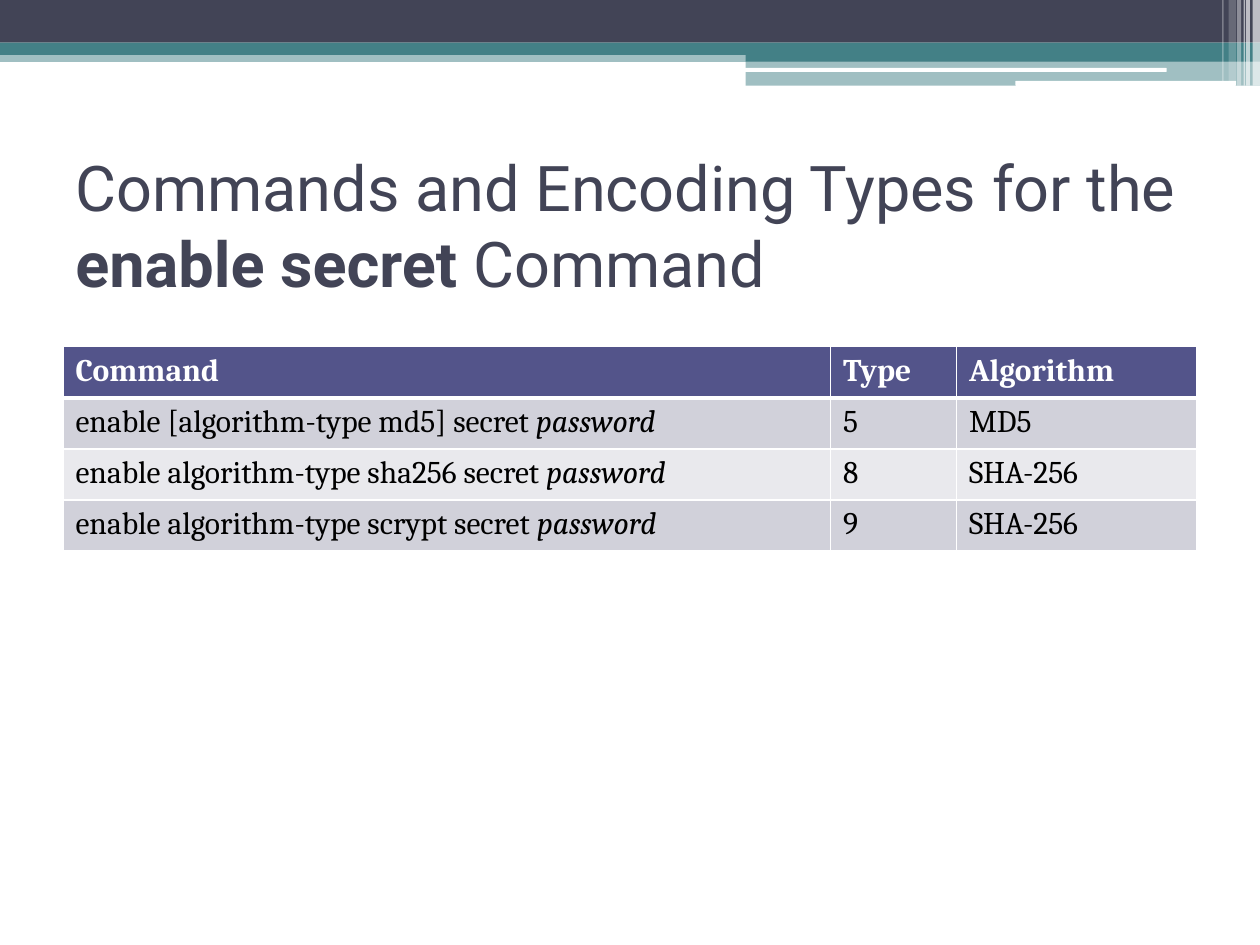
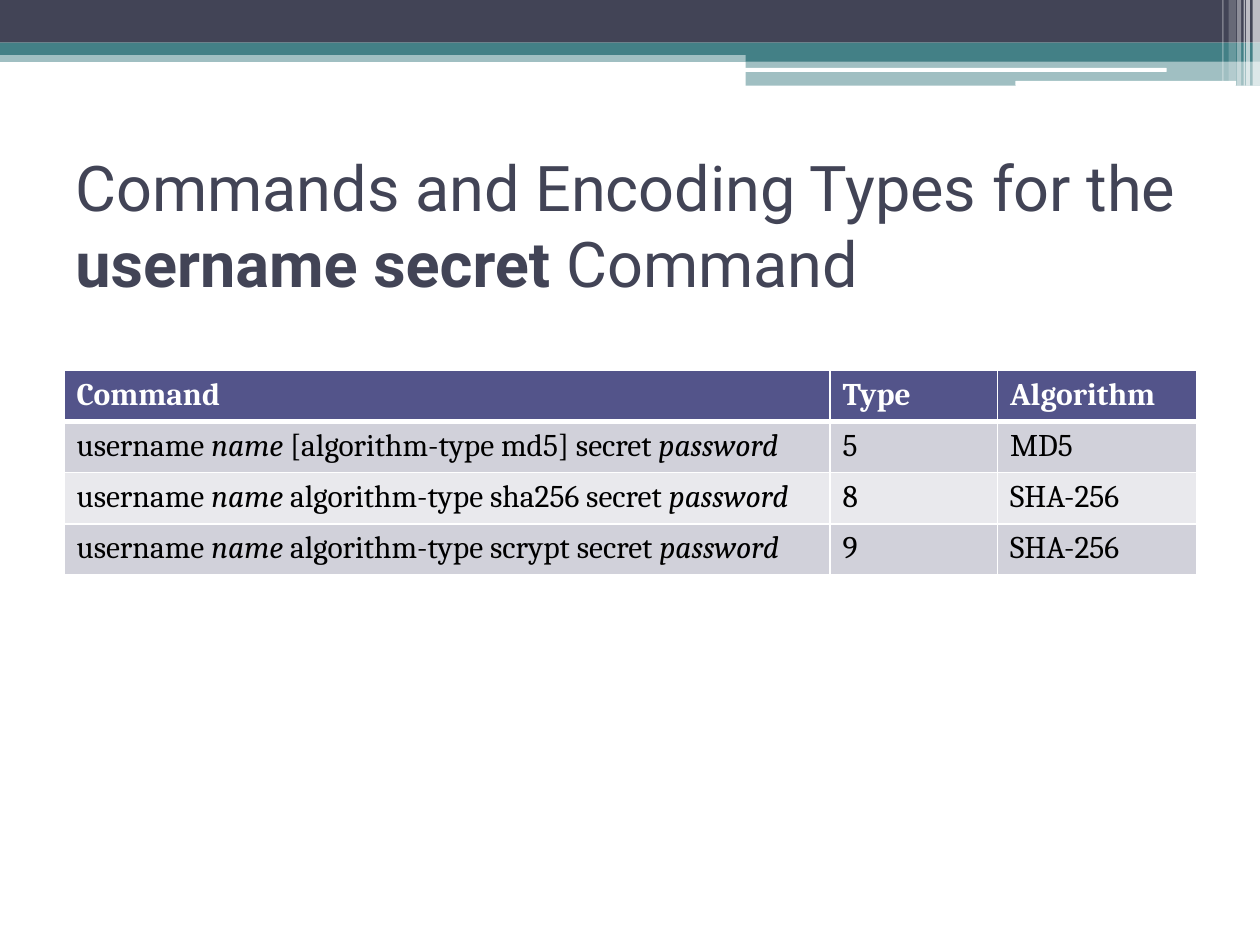
"""Build two slides that tabulate the encoding types of the secret commands."""
from lxml import etree
from pptx import Presentation
from pptx import util as u
from pptx.dml import color
from pptx.enum import shapes, text
from pptx.oxml import ns

NAVY, TEAL, WHITE, BLACK = "424456", "438086", "FFFFFF", "000000"
HEADER_FILL, ROW_FILLS = "53548A", ("D1D1DA", "E9E9ED")
RECTANGLE = shapes.MSO_SHAPE.RECTANGLE
ROUNDED = shapes.MSO_SHAPE.ROUNDED_RECTANGLE

rgb = color.RGBColor.from_string


def write_text(frame, words, emphasis="bold", size=18, font="Cambria", ink=BLACK, bold=False):
    """Write words as runs, giving the emphasis to those between asterisks."""
    paragraph = frame.paragraphs[0]
    for index, part in enumerate(words.split("*")):
        if part:
            run = paragraph.add_run()
            run.text = part
            run.font.size = u.Pt(size)
            run.font.name = font
            run.font.color.rgb = rgb(ink)
            run.font.bold = bold
            run.font.italic = False
            if index % 2:
                setattr(run.font, emphasis, True)


def add_border(cell, side, points):
    """Give one side of a cell a white line."""
    properties = cell._tc.get_or_add_tcPr()
    line = etree.SubElement(properties, ns.qn(f"a:ln{side}"), w=str(u.Pt(points)))
    fill = etree.SubElement(line, ns.qn("a:solidFill"))
    etree.SubElement(fill, ns.qn("a:srgbClr"), val=WHITE)


BANDS = [
    (RECTANGLE, 0, 1.02, 25.4, 0.23, TEAL, 50),
    (RECTANGLE, 0, 0, 25.4, 0.86, NAVY, 100),
    (RECTANGLE, 0, 0.86, 25.4, 0.25, TEAL, 100),
    (RECTANGLE, 15.03, 0.99, 10.37, 0.25, TEAL, 100),
    (RECTANGLE, 15.03, 1.23, 10.37, 0.5, TEAL, 50),
    (ROUNDED, 15.01, 1.37, 8.51, 0.08, WHITE, 100),
    (ROUNDED, 20.47, 1.63, 4.45, 0.1, WHITE, 100),
]
STRIPES = [
    (25.25, 0.15, 1.73, 65),
    (25.12, 0.08, 1.73, 65),
    (25.07, 0.03, 1.73, 60),
    (24.94, 0.08, 1.73, 40),
    (24.77, 0.15, 1.63, 20),
    (24.64, 0.03, 1.63, 30),
]
BANDS += [(RECTANGLE, left, 0, width, height, WHITE, opacity)
          for left, width, height, opacity in STRIPES]

HEADINGS = ("Command", "Type", "Algorithm")
ENCODINGS = [
    ("[algorithm-type md5]", "5", "MD5"),
    ("algorithm-type sha256", "8", "SHA-256"),
    ("algorithm-type scrypt", "9", "SHA-256"),
]
ROW_HEIGHT = 1.03
SLIDES = [
    ("enable", "enable", 1.27, 6.99, (15.47, 2.54, 4.85)),
    ("username", "username *name*", 1.29, 7.47, (15.44, 3.38, 4.01)),
]

presentation = Presentation()
presentation.slide_width = u.Cm(25.4)
presentation.slide_height = u.Cm(19.05)

for keyword, prefix, table_left, table_top, column_widths in SLIDES:
    slide = presentation.slides.add_slide(presentation.slide_layouts[6])

    for kind, left, top, width, height, fill, opacity in BANDS:
        shape = slide.shapes.add_shape(kind, u.Cm(left), u.Cm(top), u.Cm(width), u.Cm(height))
        shape.shadow.inherit = False
        shape.line.fill.background()
        shape.fill.solid()
        shape.fill.fore_color.rgb = rgb(fill)
        if opacity < 100:
            fill_color = shape.element.spPr.find(f".//{ns.qn('a:srgbClr')}")
            etree.SubElement(fill_color, ns.qn("a:alpha"), val=str(opacity * 1000))

    title = slide.shapes.add_textbox(u.Cm(1.27), u.Cm(3.18), u.Cm(22.86), u.Cm(2.69))
    title.text_frame.word_wrap = True
    title.text_frame.vertical_anchor = text.MSO_ANCHOR.MIDDLE
    write_text(title.text_frame,
               f"Commands and Encoding Types for the *{keyword} secret *Command",
               size=36, font="Roboto", ink=NAVY)

    rows = [HEADINGS] + [(f"{prefix} {option} secret *password*", number, algorithm)
                         for option, number, algorithm in ENCODINGS]
    table = slide.shapes.add_table(
        len(rows), len(HEADINGS), u.Cm(table_left), u.Cm(table_top),
        u.Cm(sum(column_widths)), u.Cm(ROW_HEIGHT * len(rows))).table
    for column, width in zip(table.columns, column_widths):
        column.width = u.Cm(width)

    for row_index, row in enumerate(rows):
        table.rows[row_index].height = u.Cm(ROW_HEIGHT)
        is_header = row_index == 0
        for column_index, words in enumerate(row):
            cell = table.cell(row_index, column_index)
            add_border(cell, "L", 1)
            add_border(cell, "R", 1)
            add_border(cell, "T", 3 if row_index == 1 else 1)
            add_border(cell, "B", 3 if is_header else 1)
            cell.fill.solid()
            cell.fill.fore_color.rgb = rgb(HEADER_FILL if is_header else ROW_FILLS[(row_index - 1) % 2])
            write_text(cell.text_frame, words, emphasis="italic",
                       ink=WHITE if is_header else BLACK, bold=is_header)

presentation.save("out.pptx")
